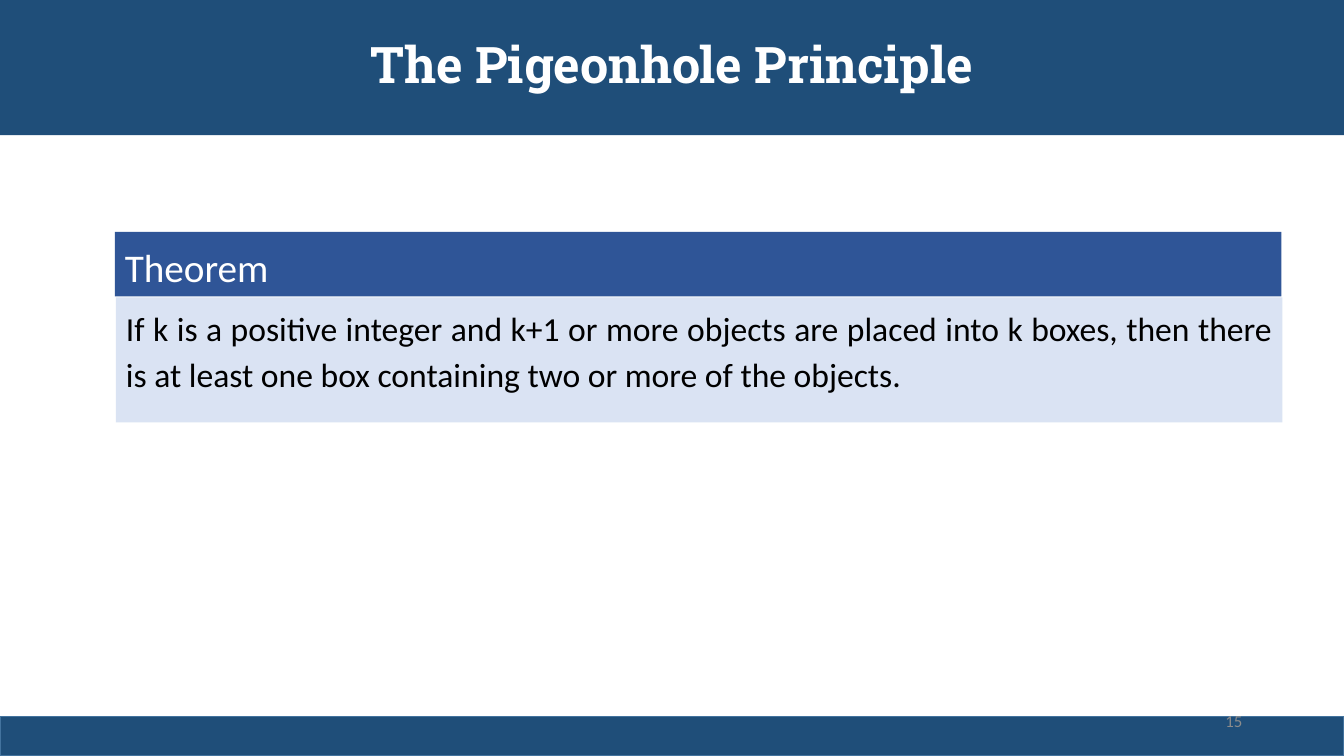
from pptx import Presentation
from pptx.dml.color import RGBColor
from pptx.enum.shapes import MSO_SHAPE as Shape
from pptx.enum.text import MSO_ANCHOR as Anchor, PP_ALIGN as Align
from pptx.util import Inches, Pt

WIDTH, HEIGHT = 13.33, 7.5
NAVY = RGBColor(0x1F, 0x4E, 0x79)
NAVY_EDGE = RGBColor(0x43, 0x73, 0x9E)
BLUE = RGBColor(0x2F, 0x55, 0x97)
PALE_BLUE = RGBColor(0xDA, 0xE3, 0xF3)
WHITE = RGBColor(0xFF, 0xFF, 0xFF)
BLACK = RGBColor(0, 0, 0)
GRAY = RGBColor(0x8C, 0x8C, 0x8C)


class SlidePainter:
    heading_font = "Roboto Slab"
    body_font = "Calibri"

    def __init__(self, page):
        self.page = page

    def bar(self, left, top, width, height, fill, edge=None):
        box = self.page.shapes.add_shape(
            Shape.RECTANGLE, Inches(left), Inches(top), Inches(width), Inches(height))
        box.shadow.inherit = False
        box.fill.solid()
        box.fill.fore_color.rgb = fill
        if edge is None:
            box.line.fill.background()
        else:
            box.line.color.rgb = edge
            box.line.width = Pt(1)
        return box

    def label(self, left, top, width, height):
        return self.page.shapes.add_textbox(
            Inches(left), Inches(top), Inches(width), Inches(height))

    def set_text(self, box, text, size, color, align=Align.LEFT, anchor=Anchor.TOP,
                 spacing=1.0, font=body_font, bold=False):
        frame = box.text_frame
        frame.word_wrap = True
        frame.vertical_anchor = anchor
        para = frame.paragraphs[0]
        para.alignment = align
        para.line_spacing = spacing
        span = para.add_run()
        span.text = text
        span.font.name = font
        span.font.size = Pt(size)
        span.font.bold = bold
        span.font.color.rgb = color


def main():
    deck = Presentation()
    deck.slide_width, deck.slide_height = Inches(WIDTH), Inches(HEIGHT)
    painter = SlidePainter(deck.slides.add_slide(deck.slide_layouts[6]))

    title = painter.bar(0, 0, WIDTH, 1.34, NAVY)
    painter.set_text(title, "The Pigeonhole Principle", 36, WHITE, Align.CENTER,
                     Anchor.MIDDLE, 0.9, painter.heading_font, bold=True)
    painter.bar(0, 7.11, WIDTH, 0.39, NAVY, NAVY_EDGE)

    theorem_head = painter.bar(1.14, 2.3, 11.57, 0.64, BLUE)
    painter.set_text(theorem_head, "Theorem", 28, WHITE, spacing=1.14)
    theorem_body = painter.bar(1.15, 2.95, 11.57, 1.24, PALE_BLUE)
    painter.set_text(
        theorem_body,
        "If k is a positive integer and k+1 or more objects are placed into k boxes, "
        "then there is at least one box containing two or more of the objects.",
        24, BLACK, Align.JUSTIFY, spacing=1.14)

    page_number = painter.label(9.42, 6.95, 3, 0.4)
    painter.set_text(page_number, "15", 12, GRAY, Align.RIGHT, Anchor.MIDDLE)

    deck.save("out.pptx")


if __name__ == "__main__":
    main()
